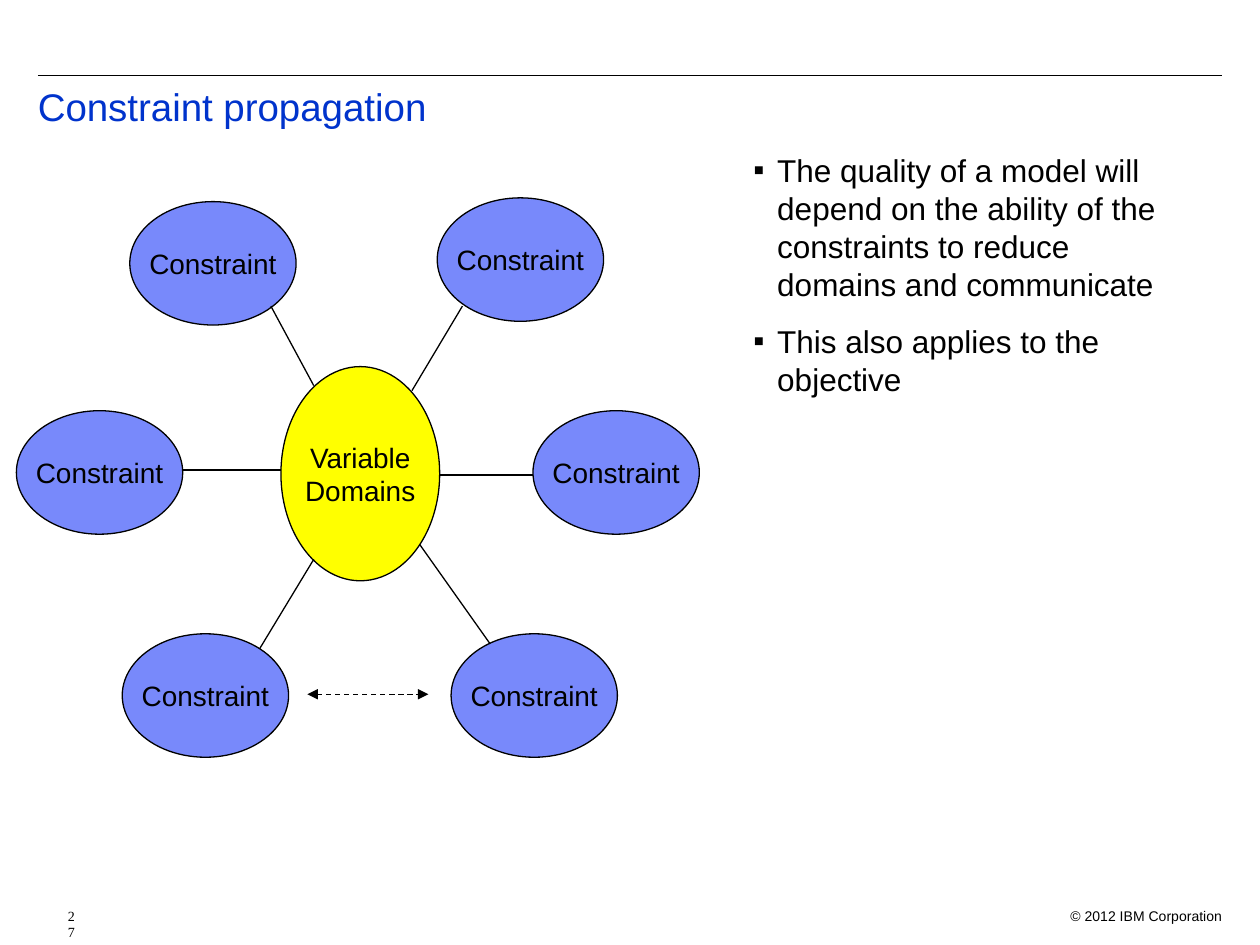
from lxml.etree import SubElement
from pptx import Presentation
from pptx.dml.color import RGBColor
from pptx.enum.dml import MSO_LINE
from pptx.enum.shapes import MSO_CONNECTOR, MSO_SHAPE
from pptx.enum.text import MSO_ANCHOR, MSO_AUTO_SIZE, PP_ALIGN
from pptx.oxml.ns import qn
from pptx.util import Inches, Pt

TITLE = "Constraint propagation"
BULLETS = [
    "The quality of a model will depend on the ability of the constraints to reduce domains and communicate",
    "This also applies to the objective",
]
COPYRIGHT = "© 2012 IBM Corporation"
PAGE_NUMBER = "27"
HUB = ["Variable", "Domains"]
HUB_BOX = (2.23, 2.91, 1.26, 1.7)
CONSTRAINT = ["Constraint"]
CONSTRAINT_SIZE = (1.32, 0.98)
CONSTRAINT_POSITIONS = [(1.03, 1.6), (0.13, 3.26), (0.97, 5.03),
                        (3.58, 5.03), (4.23, 3.26), (3.47, 1.57)]
SPOKES = [
    (2.15, 2.43, 2.49, 3.06),
    (3.27, 3.1, 3.67, 2.43),
    (1.45, 3.73, 2.23, 3.73),
    (2.06, 5.15, 2.49, 4.44),
    (3.49, 3.77, 4.23, 3.77),
    (3.33, 4.32, 3.89, 5.11),
]
EXCHANGE = (2.44, 5.51, 3.4, 5.51)
HEADER_RULE = (0.3, 0.6, 9.7, 0.6)

THEME = {
    "ink": RGBColor(0x00, 0x00, 0x00),
    "title": RGBColor(0x00, 0x33, 0xCC),
    "constraint": RGBColor(0x78, 0x89, 0xFB),
    "hub": RGBColor(0xFF, 0xFF, 0x00),
    "font": "Arial",
    "number_font": "Times New Roman",
    "title_size": 22,
    "body_size": 18,
    "label_size": 16,
    "footer_size": 8,
    "line_width": 0.75,
}


def place(shape, box):
    shape.left, shape.top, shape.width, shape.height = map(Inches, box)


def write(shape, lines, size, color="ink", font="font", align=PP_ALIGN.LEFT,
          anchor=MSO_ANCHOR.TOP, wrap=True, spacing=None, gap=0,
          margin=0, hanging=0, bullet=None):
    frame = shape.text_frame
    frame.auto_size = MSO_AUTO_SIZE.NONE
    frame.word_wrap = wrap
    frame.vertical_anchor = anchor
    frame.margin_left = frame.margin_right = Inches(0.1)
    frame.margin_top = frame.margin_bottom = Inches(0.05)
    for index, line in enumerate(lines):
        paragraph = frame.paragraphs[0] if index == 0 else frame.add_paragraph()
        paragraph.text = line
        paragraph.alignment = align
        paragraph.line_spacing = spacing
        paragraph.space_before = Pt(gap if index else 0)
        properties = paragraph._p.get_or_add_pPr()
        properties.set("marL", str(Inches(margin)))
        properties.set("indent", str(-Inches(hanging)))
        if bullet:
            SubElement(properties, qn("a:buFont"), typeface=THEME["font"])
            SubElement(properties, qn("a:buChar"), char=bullet)
        paragraph.font.size = Pt(THEME[size])
        paragraph.font.name = THEME[font]
        paragraph.font.color.rgb = THEME[color]


def add_text(slide, box, lines, size, **text_format):
    write(slide.shapes.add_textbox(*map(Inches, box)), lines, size, **text_format)


def add_ellipse(slide, box, lines, fill):
    shape = slide.shapes.add_shape(MSO_SHAPE.OVAL, *map(Inches, box))
    shape.shadow.inherit = False
    shape.fill.solid()
    shape.fill.fore_color.rgb = THEME[fill]
    shape.line.color.rgb = THEME["ink"]
    shape.line.width = Pt(THEME["line_width"])
    write(shape, lines, "label_size", align=PP_ALIGN.CENTER,
          anchor=MSO_ANCHOR.MIDDLE, wrap=False)


def add_line(slide, ends, dashed_arrow=False):
    connector = slide.shapes.add_connector(MSO_CONNECTOR.STRAIGHT, *map(Inches, ends))
    connector.line.color.rgb = THEME["ink"]
    connector.line.width = Pt(THEME["line_width"])
    if dashed_arrow:
        connector.line.dash_style = MSO_LINE.DASH
        outline = connector.line._get_or_add_ln()
        for tag in ("a:headEnd", "a:tailEnd"):
            SubElement(outline, qn(tag), type="triangle")
    SubElement(connector._element.spPr, qn("a:effectLst"))


def main():
    presentation = Presentation()
    presentation.slide_width, presentation.slide_height = Inches(10), Inches(7.5)
    slide = presentation.slides.add_slide(presentation.slide_layouts[5])

    add_line(slide, HEADER_RULE)
    add_text(slide, (8.3, 7.15, 1.5, 0.2), [COPYRIGHT], "footer_size", align=PP_ALIGN.RIGHT)
    title = slide.shapes.title
    place(title, (0.2, 0.65, 9.5, 0.7))
    write(title, [TITLE], "title_size", color="title", spacing=0.9)
    add_text(slide, (5.88, 1.15, 3.65, 5.52), BULLETS, "body_size",
             gap=11.2, margin=0.19, hanging=0.19, bullet="▪")

    add_ellipse(slide, HUB_BOX, HUB, "hub")
    for position in CONSTRAINT_POSITIONS:
        add_ellipse(slide, position + CONSTRAINT_SIZE, CONSTRAINT, "constraint")
    for ends in SPOKES:
        add_line(slide, ends)
    add_line(slide, EXCHANGE, dashed_arrow=True)

    add_text(slide, (0.2, 7.15, 0.4, 0.2), [PAGE_NUMBER], "footer_size",
             font="number_font", margin=0.24)
    presentation.save("out.pptx")


if __name__ == "__main__":
    main()
